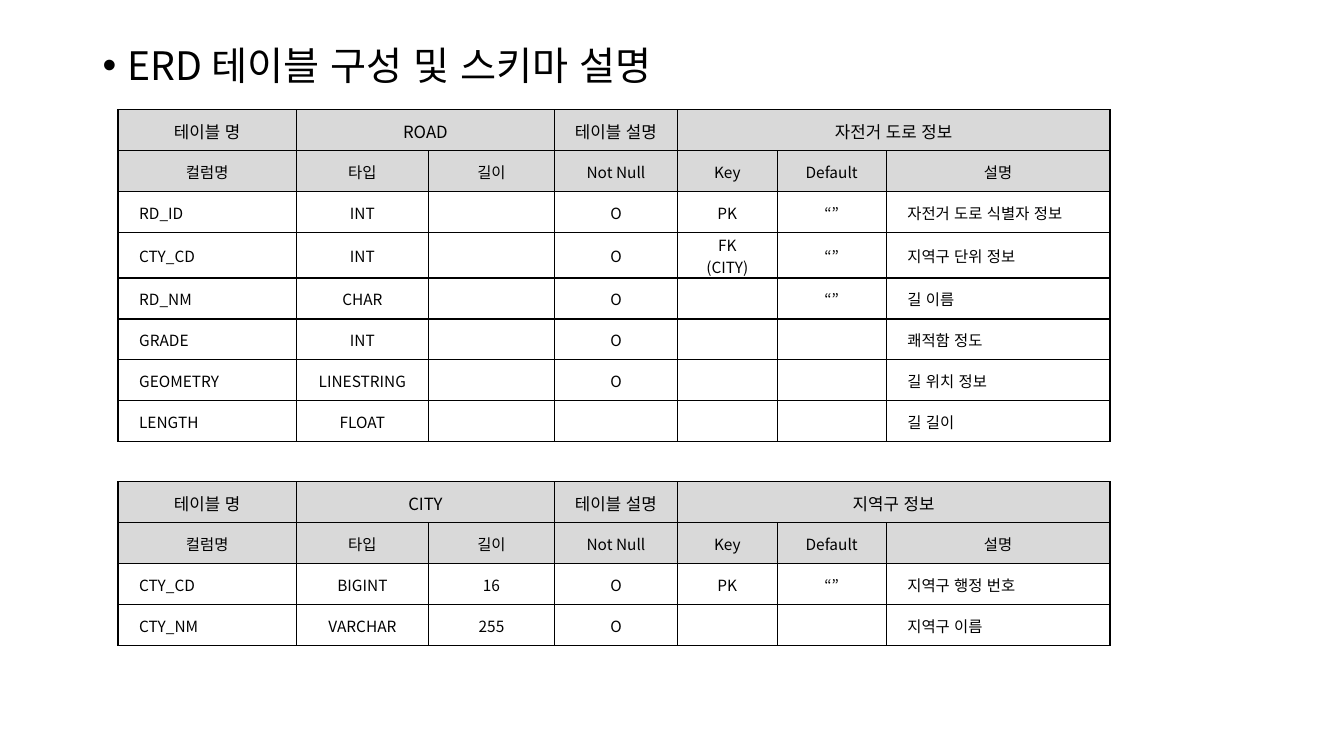
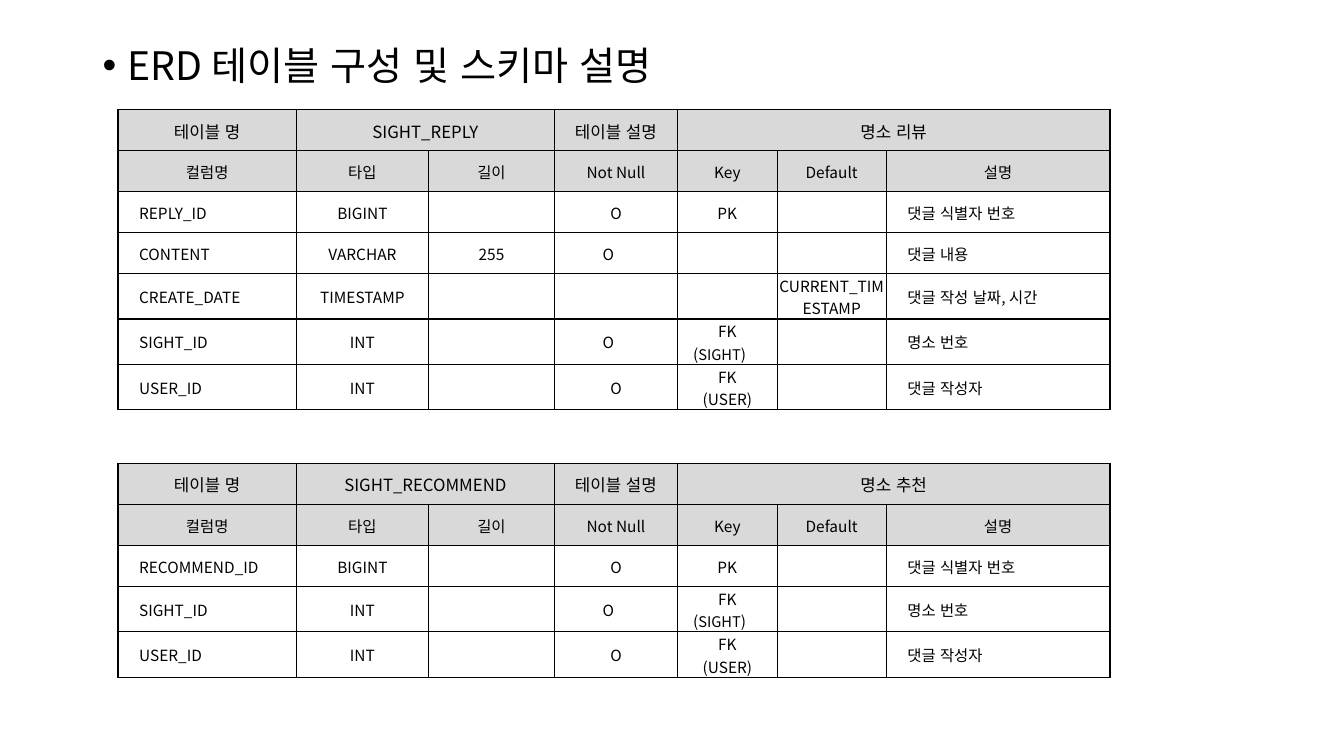
"""Build two slides that describe the schema tables of an ERD."""
from lxml import etree
from pptx import Presentation
from pptx import util as u
from pptx.dml.color import RGBColor
from pptx.enum import lang, text
from pptx.oxml import ns

BLACK = RGBColor(0x00, 0x00, 0x00)
HEADER_GREY = RGBColor(0xD9, 0xD9, 0xD9)
FONT = "Noto Sans CJK KR"
TITLE = "ERD 테이블 구성 및 스키마 설명"
HEADINGS = ["컬럼명", "타입", "길이", "Not Null", "Key", "Default", "설명"]
COLUMN_WIDTHS = [1.77, 1.31, 1.25, 1.22, 0.99, 1.08, 2.22]
LEFT_ALIGNED = {0, 6}
DEFAULT_COLUMN, DEFAULT_LIMIT = 5, 12
TABLE_LEFT = 1.17
TABLE_TOP = 1.09
ROW_HEIGHT = 2.03 / 5
TWO_LINE_HEIGHT = 0.45
TITLE_SIZE, NAME_SIZE, CELL_SIZE = 28, 12, 11
SIGHT_KEY = ["FK", [("(", 11), ("SIGHT", 10.5), (")　", 11)]]
USER_KEY = ["FK", "(USER)"]

ROAD = [
    ["RD_ID", "INT", "", "O", "PK", "“”", "자전거 도로 식별자 정보"],
    ["CTY_CD", "INT", "", "O", ["FK", "(CITY)"], "“”", "지역구 단위 정보"],
    ["RD_NM", "CHAR", "", "O", "", "“”", "길 이름"],
    ["GRADE", "INT", "", "O", "", "", "쾌적함 정도"],
    ["GEOMETRY", "LINESTRING", "", "O", "", "", "길 위치 정보"],
    ["LENGTH", "FLOAT", "", "", "", "", "길 길이"],
]
CITY = [
    ["CTY_CD", "BIGINT", "16", "O", "PK", "“”", "지역구 행정 번호"],
    ["CTY_NM", "VARCHAR", "255", "O", "", "", "지역구 이름"],
]
LINKS = [
    ["SIGHT_ID", "INT", "", "O　", SIGHT_KEY, "", "명소 번호"],
    ["USER_ID", "INT", "", "O", USER_KEY, "", "댓글 작성자"],
]
SIGHT_REPLY = [
    ["REPLY_ID", "BIGINT", "", "O", "PK", "", "댓글 식별자 번호"],
    ["CONTENT", "VARCHAR", "255", "O　", "", "", "댓글 내용"],
    ["CREATE_DATE", "TIMESTAMP", "", "", "", "CURRENT_TIMESTAMP", "댓글 작성 날짜, 시간"],
    *LINKS,
]
SIGHT_RECOMMEND = [
    ["RECOMMEND_ID", "BIGINT", "", "O", "PK", "", "댓글 식별자 번호"],
    *LINKS,
]

SLIDES = [
    [(TABLE_TOP, "ROAD", "자전거 도로 정보", ROAD),
     (4.78, "CITY", "지역구 정보", CITY)],
    [(TABLE_TOP, "SIGHT_REPLY", "명소 리뷰", SIGHT_REPLY),
     (4.6, "SIGHT_RECOMMEND", "명소 추천", SIGHT_RECOMMEND)],
]


def write(frame, content, size=CELL_SIZE, align=text.PP_ALIGN.CENTER,
          indent=0, hanging=0, bullet=None, spacing=None):
    """Write one line, or a list of lines made of plain text or sized spans."""
    lines = content if isinstance(content, list) else [content]
    for number, line in enumerate(lines):
        para = frame.add_paragraph() if number else frame.paragraphs[0]
        para.alignment = align
        if spacing:
            para.line_spacing = spacing
        properties = para._p.get_or_add_pPr()
        properties.set("marL", str(u.Inches(indent)))
        properties.set("indent", str(u.Inches(-hanging)))
        if bullet:
            etree.SubElement(properties, ns.qn("a:buFont"), typeface="Arial")
            etree.SubElement(properties, ns.qn("a:buChar"), char=bullet)
        spans = line if isinstance(line, list) else [(line, size)]
        for words, points in spans:
            if not words:
                continue
            span = para.add_run()
            span.text = words
            span.font.size = u.Pt(points)
            span.font.name = FONT
            span.font.language_id = lang.MSO_LANGUAGE_ID.KOREAN
            span.font.color.rgb = BLACK
            etree.SubElement(span.font._element, ns.qn("a:ea"), typeface=FONT)


def add_title(page):
    """Add the bulleted slide title."""
    box = page.shapes.add_textbox(u.Inches(0.92), u.Inches(0.41),
                                  u.Inches(11.5), u.Inches(0.6))
    box.text_frame.word_wrap = True
    write(box.text_frame, TITLE, size=TITLE_SIZE, align=text.PP_ALIGN.LEFT,
          indent=0.25, hanging=0.25, bullet="•", spacing=0.9)


def style_cell(cell, header):
    """Set the margins, thin black borders and fill of a cell."""
    cell.vertical_anchor = text.MSO_ANCHOR.MIDDLE
    cell.margin_left = cell.margin_right = cell.margin_top = u.Inches(0.01)
    cell.margin_bottom = 0
    properties = cell._tc.get_or_add_tcPr()
    for side in ("lnL", "lnR", "lnT", "lnB"):
        line = etree.SubElement(properties, ns.qn(f"a:{side}"), w=str(u.Pt(1)))
        fill = etree.SubElement(line, ns.qn("a:solidFill"))
        etree.SubElement(fill, ns.qn("a:srgbClr"), val=str(BLACK))
    if header:
        cell.fill.solid()
        cell.fill.fore_color.rgb = HEADER_GREY
    else:
        cell.fill.background()


def row_height(row):
    """Return the height a row needs for its listed or wrapping lines."""
    listed = any(isinstance(content, list) for content in row)
    wrapping = len(row[DEFAULT_COLUMN]) > DEFAULT_LIMIT
    return TWO_LINE_HEIGHT if listed or wrapping else ROW_HEIGHT


def add_schema(page, top, name, description, fields):
    """Add one schema table with its two header rows."""
    names = ["테이블 명", name, "", "테이블 설명", description, "", ""]
    rows = [names, HEADINGS, *fields]
    heights = [row_height(row) for row in rows]
    table = page.shapes.add_table(
        len(rows), len(COLUMN_WIDTHS), u.Inches(TABLE_LEFT), u.Inches(top),
        u.Inches(sum(COLUMN_WIDTHS)), u.Inches(sum(heights))).table
    table.first_row = table.horz_banding = False
    for column, width in zip(table.columns, COLUMN_WIDTHS):
        column.width = u.Inches(width)
    for row_number, row in enumerate(rows):
        header = row_number < 2
        table.rows[row_number].height = u.Inches(heights[row_number])
        for column_number, content in enumerate(row):
            cell = table.cell(row_number, column_number)
            style_cell(cell, header)
            left = not header and column_number in LEFT_ALIGNED
            write(cell.text_frame, content,
                  size=CELL_SIZE if row_number else NAME_SIZE,
                  align=text.PP_ALIGN.LEFT if left else text.PP_ALIGN.CENTER,
                  indent=0.2 if left else 0)
    for first, last in ((1, 2), (4, 6)):
        table.cell(0, first).merge(table.cell(0, last))


def main():
    """Build the slides and save the deck."""
    deck = Presentation()
    deck.slide_width, deck.slide_height = u.Inches(13.33), u.Inches(7.5)
    for schemas in SLIDES:
        page = deck.slides.add_slide(deck.slide_layouts[6])
        add_title(page)
        for schema in schemas:
            add_schema(page, *schema)
    deck.save("out.pptx")


if __name__ == "__main__":
    main()
